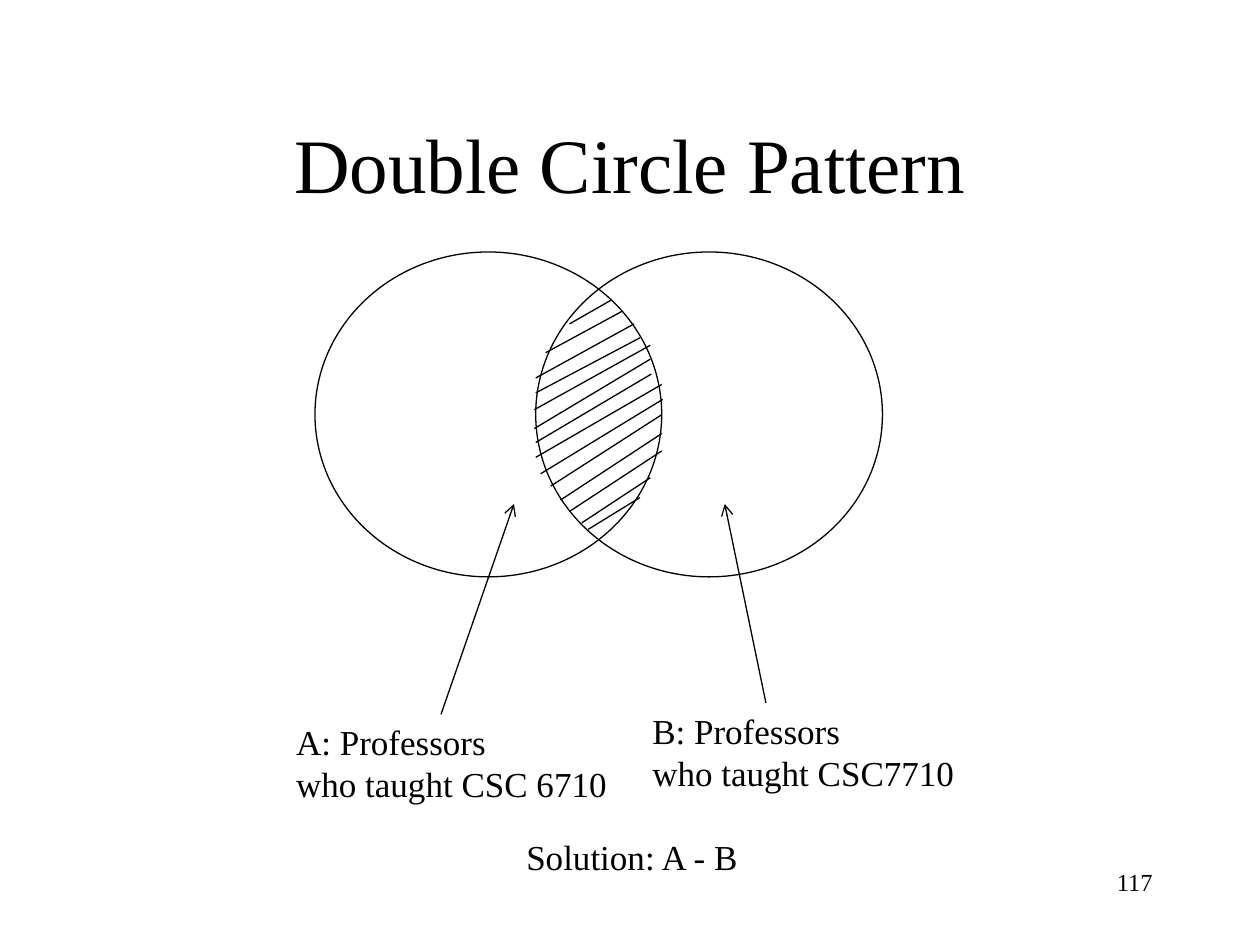
from pptx import Presentation
from pptx.dml.color import RGBColor
from pptx.enum import shapes, text
from pptx.oxml import parse_xml
from pptx.oxml.ns import nsdecls
from pptx.util import Cm, Pt

COLORS = {"ink": "000000"}
INK = RGBColor.from_string(COLORS["ink"])
FONT = "Times New Roman"

prs = Presentation()
prs.slide_width, prs.slide_height = Cm(25.4), Cm(19.05)
s = prs.slides.add_slide(prs.slide_layouts[6])


def add_line(x1, y1, x2, y2, arrow=False):
    c = s.shapes.add_connector(
        shapes.MSO_CONNECTOR.STRAIGHT, Cm(x1), Cm(y1), Cm(x2), Cm(y2))
    c.line.color.rgb = INK
    c.line.width = Pt(0.75)
    if arrow:
        c.line._get_or_add_ln().append(
            parse_xml(f'<a:tailEnd {nsdecls("a")} type="arrow"/>'))
    c._element.spPr.append(parse_xml(f'<a:effectLst {nsdecls("a")}/>'))


def add_text(words, left, top, width, height, size, align="LEFT", anchor="TOP", wrap=True):
    tb = s.shapes.add_textbox(Cm(left), Cm(top), Cm(width), Cm(height))
    tf = tb.text_frame
    tf.word_wrap = wrap
    tf.auto_size = text.MSO_AUTO_SIZE.NONE if wrap else text.MSO_AUTO_SIZE.SHAPE_TO_FIT_TEXT
    tf.vertical_anchor = text.MSO_ANCHOR[anchor]
    tf.text = words
    for p in tf.paragraphs:
        p.alignment = text.PP_ALIGN[align]
        for r in p.runs:
            r.font.name = FONT
            r.font.size = Pt(size)
            r.font.color.rgb = INK


for left in (10.8, 6.35):
    sp = s.shapes.add_shape(
        shapes.MSO_SHAPE.OVAL, Cm(left), Cm(5.08), Cm(6.99), Cm(6.55))
    sp.shadow.inherit = False
    sp.fill.background()
    sp.line.color.rgb = INK
    sp.line.width = Pt(0.75)

hatching = [
    (11.48, 6.53, 12.32, 6.05),
    (11, 7.11, 12.55, 6.27),
    (10.8, 7.62, 12.78, 6.53),
    (10.8, 7.92, 12.9, 6.81),
    (10.77, 8.26, 13.11, 6.96),
    (10.77, 8.64, 13.11, 7.24),
    (10.8, 8.92, 13.13, 7.54),
    (10.8, 9.22, 13.34, 7.75),
    (10.9, 9.55, 13.36, 8.05),
    (11.1, 9.8, 13.34, 8.36),
    (11.3, 10.08, 13.34, 8.74),
    (11.48, 10.31, 13.34, 9.09),
    (11.73, 10.54, 13.11, 9.63),
    (11.86, 10.67, 12.9, 10.03),
]
for ends in hatching:
    add_line(*ends)

add_line(8.89, 14.4, 10.36, 10.16, arrow=True)
add_line(15.44, 14.17, 14.61, 10.16, arrow=True)

add_text("Double Circle Pattern", 1.91, 1.7, 21.59, 3.18, 44, "CENTER", "MIDDLE")
labels = [
    ("A: Professors\nwho taught CSC 6710", 5.72, 14.4, 6.83, 1.96),
    ("B: Professors\nwho taught CSC7710", 12.9, 14.17, 6.65, 1.96),
    ("Solution: A - B", 10.36, 16.71, 4.8, 1.12),
]
for label in labels:
    add_text(*label, size=20, wrap=False)
add_text("117", 18.21, 17.35, 5.28, 1.27, 14, "RIGHT")

prs.save("out.pptx")
